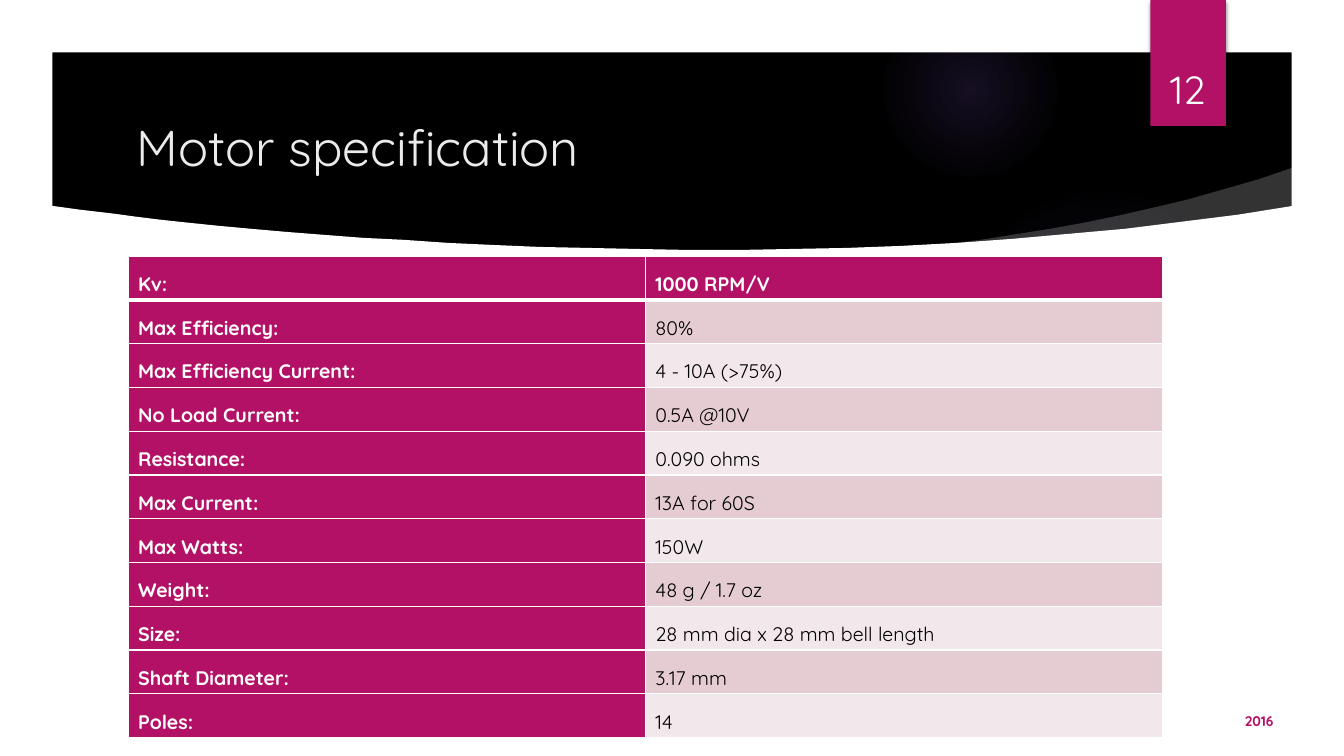
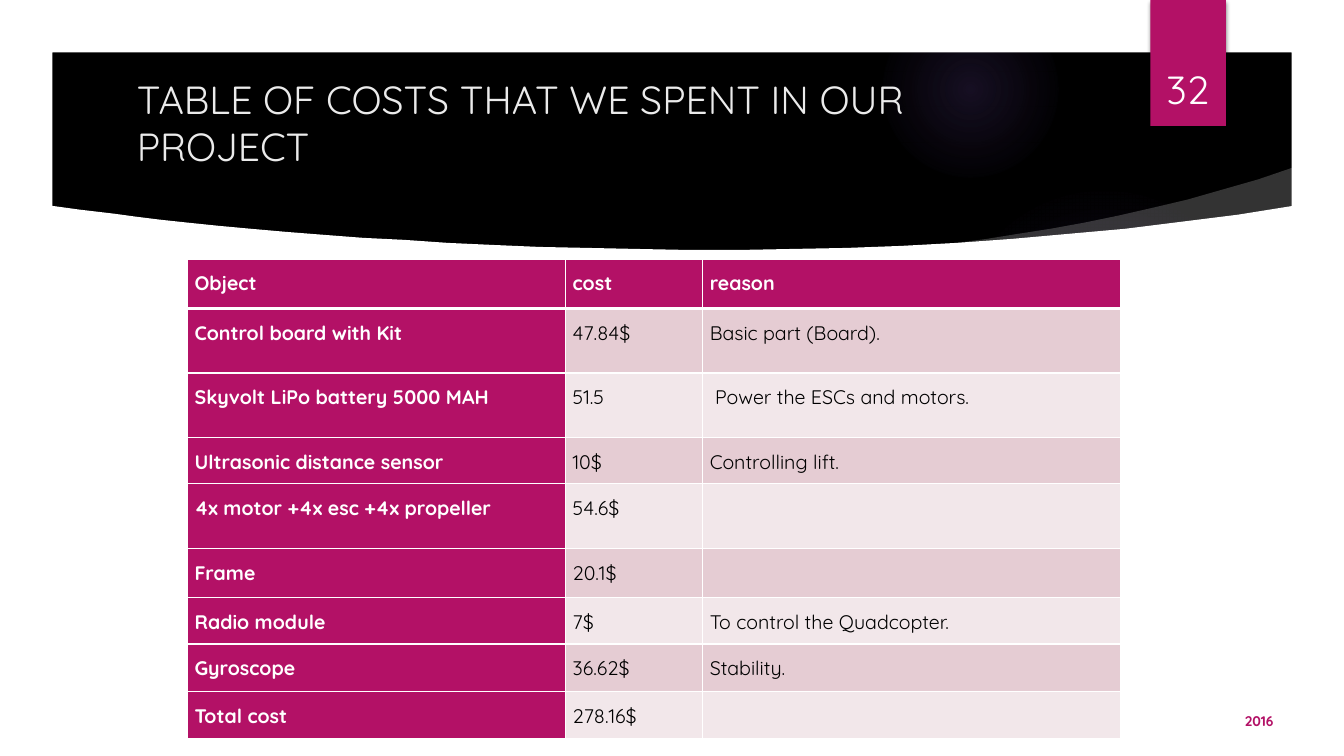
from lxml import etree
from pptx import Presentation
from pptx.dml.color import RGBColor
from pptx.enum import shapes, text
from pptx.oxml import ns
from pptx.util import Inches, Pt

FONT = "Quicksand"
MAGENTA, WHITE, BLACK, TITLE = "B31166", "FFFFFF", "000000", "EBEBEB"
STRIPES = ["F2E7EA", "E5CCD3"]
YEAR = "2016"

SLIDES = [
    {
        "number": "12", "title": "Motor specification", "title_size": 36, "title_top": 1.07,
        "at": (1.27, 2.54), "widths": [5.13, 5.13], "heights": [4.78 / 11] * 11,
        "inset": 0.1, "anchor": text.MSO_ANCHOR.MIDDLE,
        "rows": [
            ("Kv:", "1000 RPM/V"),
            ("Max Efficiency:", "80%"),
            ("Max Efficiency Current:", "4 - 10A (>75%)"),
            ("No Load Current:", "0.5A @10V"),
            ("Resistance:", "0.090 ohms"),
            ("Max Current:", "13A for 60S"),
            ("Max Watts:", "150W"),
            ("Weight:", "48 g / 1.7 oz"),
            ("Size:", "28 mm dia x 28 mm bell length"),
            ("Shaft Diameter:", "3.17 mm"),
            ("Poles:", "14"),
        ],
    },
    {
        "number": "32", "title": "TABLE OF COSTS THAT WE SPENT IN OUR PROJECT",
        "title_size": 28, "title_top": 0.83,
        "at": (1.86, 2.57), "widths": [3.75, 1.36, 4.14],
        "heights": [0.49, 0.64, 0.64, 0.46, 0.64, 0.49, 0.46, 0.47, 0.47],
        "inset": 0.07, "anchor": text.MSO_ANCHOR.TOP,
        "rows": [
            ("Object", "cost", "reason"),
            ("Control board with Kit", "47.84$", "Basic part (Board)."),
            ("Skyvolt LiPo battery 5000 MAH", "51.5", " Power the ESCs and motors."),
            ("Ultrasonic distance sensor", "10$", "Controlling lift."),
            ("4x motor +4x esc +4x propeller", "54.6$", ""),
            ("Frame", "20.1$", ""),
            ("Radio module", "7$", "To control the Quadcopter."),
            ("Gyroscope", "36.62$", "Stability."),
            ("Total cost", "278.16$", ""),
        ],
    },
]

GLOWS = [
    (9.41, 1.83, 3.08, [(0, 7), (36, 6), (69, 0)]),
    (8.75, 0.01, 1.75, [(0, 14), (36, 7), (73, 0)]),
]
SWOOSH = [(9.34, 2.5), (12.89, 2.14), (12.83, 1.66), (12.48, 1.78), (12.13, 1.88), (11.78, 1.98),
          (11.44, 2.06), (11.09, 2.14), (10.75, 2.21), (10.42, 2.27), (10.1, 2.32),
          (9.79, 2.37), (9.49, 2.41), (9.3, 2.43)]
PANEL = [(0.5, 2.04), (0.5, 7), (12.84, 7), (12.84, 2.04), (12.28, 2.13), (11.72, 2.2),
         (11.16, 2.27), (10.6, 2.32), (10.04, 2.37), (9.49, 2.41), (8.94, 2.44), (8.4, 2.46),
         (7.86, 2.47), (7.34, 2.48), (6.82, 2.48), (6.32, 2.47), (5.83, 2.46), (5.35, 2.45),
         (4.88, 2.43), (4.44, 2.41), (4.01, 2.38), (3.6, 2.36), (3.21, 2.33), (2.83, 2.3),
         (2.49, 2.27), (2.16, 2.24), (1.87, 2.21), (1.59, 2.18), (1.35, 2.15), (1.13, 2.12),
         (0.79, 2.08)]


def rgb(value):
    return RGBColor.from_string(value)


def xml(source):
    return etree.fromstring(f'<a:root xmlns:a="{ns.nsuri("a")}">{source}</a:root>')[0]


def style(part, color):
    part.shadow.inherit = False
    part.line.fill.background()
    part.fill.solid()
    part.fill.fore_color.rgb = rgb(color)
    return part


def preset(slide, kind, box, color):
    return style(slide.shapes.add_shape(kind, *map(Inches, box)), color)


def outline(slide, points, color):
    start, *rest = [(Inches(x), Inches(y)) for x, y in points]
    builder = slide.shapes.build_freeform(*start, scale=1.0)
    builder.add_line_segments(rest, close=True)
    return style(builder.convert_to_shape(), color)


def write(frame, words, color, size, bold=False, align=text.PP_ALIGN.LEFT, spacing=None):
    paragraph = frame.paragraphs[0]
    paragraph.alignment = align
    paragraph.line_spacing = spacing
    if words:
        run = paragraph.add_run()
        run.text = words
        for name, value in {"name": FONT, "size": Pt(size), "bold": bold}.items():
            setattr(run.font, name, value)
        run.font.color.rgb = rgb(color)


def label(slide, box, anchor, *args, **kwargs):
    frame = slide.shapes.add_textbox(*map(Inches, box)).text_frame
    frame.word_wrap = True
    frame.vertical_anchor = anchor
    write(frame, *args, **kwargs)


def add_glow(slide, left, top, size, stops):
    glow = preset(slide, shapes.MSO_SHAPE.OVAL, (left, top, size, size), BLACK)
    marks = "".join(
        f'<a:gs pos="{pos * 1000}"><a:srgbClr val="9B6BF2">'
        f'<a:alpha val="{alpha * 1000}"/></a:srgbClr></a:gs>' for pos, alpha in stops)
    solid = glow.element.spPr.find(ns.qn("a:solidFill"))
    glow.element.spPr.replace(solid, xml(
        f'<a:gradFill><a:gsLst>{marks}</a:gsLst><a:path path="circle">'
        '<a:fillToRect l="50000" t="50000" r="50000" b="50000"/></a:path></a:gradFill>'))


def add_backdrop(slide):
    slide.background.fill.solid()
    slide.background.fill.fore_color.rgb = rgb(BLACK)
    for glow in GLOWS:
        add_glow(slide, *glow)
    swoosh = outline(slide, SWOOSH, WHITE)
    swoosh.element.spPr.find(ns.qn("a:solidFill"))[0].append(xml('<a:alpha val="20000"/>'))
    outline(slide, PANEL, WHITE)
    border = preset(slide, shapes.MSO_SHAPE.FRAME, (0, 0, 13.33, 7.5), WHITE)
    border.adjustments[0] = 0.52 / 7.5
    tab = preset(slide, shapes.MSO_SHAPE.RECTANGLE, (11.41, 0, 0.75, 1.25), MAGENTA)
    tab.element.spPr.find(ns.qn("a:effectLst")).append(xml(
        f'<a:outerShdw blurRad="{Pt(3)}" dist="{Pt(2)}" dir="5400000" rotWithShape="0">'
        '<a:srgbClr val="000000"><a:alpha val="45000"/></a:srgbClr></a:outerShdw>'))


def add_borders(cell, row):
    widths = {"L": 1, "R": 1, "T": 3 if row == 1 else 1, "B": 3 if row == 0 else 1}
    for side, width in widths.items():
        cell._tc.get_or_add_tcPr().append(xml(
            f'<a:ln{side} w="{Pt(width)}"><a:solidFill><a:srgbClr val="{WHITE}"/>'
            f'</a:solidFill></a:ln{side}>'))


def add_grid(slide, content):
    rows, widths, heights = content["rows"], content["widths"], content["heights"]
    box = (*content["at"], sum(widths), sum(heights))
    grid = slide.shapes.add_table(len(rows), len(widths), *map(Inches, box)).table
    grid.first_col = True
    for column, width in zip(grid.columns, widths):
        column.width = Inches(width)
    for line, height in zip(grid.rows, heights):
        line.height = Inches(height)
    layout = {"margin_left": Inches(content["inset"]), "margin_right": Inches(content["inset"]),
              "margin_top": 0, "margin_bottom": 0, "vertical_anchor": content["anchor"]}
    for r, row in enumerate(rows):
        for c, words in enumerate(row):
            cell = grid.cell(r, c)
            for name, value in layout.items():
                setattr(cell, name, value)
            heading = r == 0 or c == 0
            add_borders(cell, r)
            cell.fill.solid()
            cell.fill.fore_color.rgb = rgb(MAGENTA if heading else STRIPES[r % 2])
            write(cell.text_frame, words, WHITE if heading else BLACK, 14, heading, spacing=1.5)


def main():
    deck = Presentation()
    deck.slide_width, deck.slide_height = Inches(13.33), Inches(7.5)
    middle, bottom = text.MSO_ANCHOR.MIDDLE, text.MSO_ANCHOR.BOTTOM
    for content in SLIDES:
        slide = deck.slides.add_slide(deck.slide_layouts[6])
        add_backdrop(slide)
        label(slide, (1.26, content["title_top"], 9.58, 0.77), middle,
              content["title"], TITLE, content["title_size"])
        add_grid(slide, content)
        label(slide, (11.65, 6.99, 1.08, 0.33), middle, YEAR, MAGENTA, 10, True,
              text.PP_ALIGN.RIGHT)
        label(slide, (11.32, 0.32, 0.92, 0.84), bottom, content["number"], WHITE, 28,
              align=text.PP_ALIGN.CENTER)
    deck.save("out.pptx")


if __name__ == "__main__":
    main()
